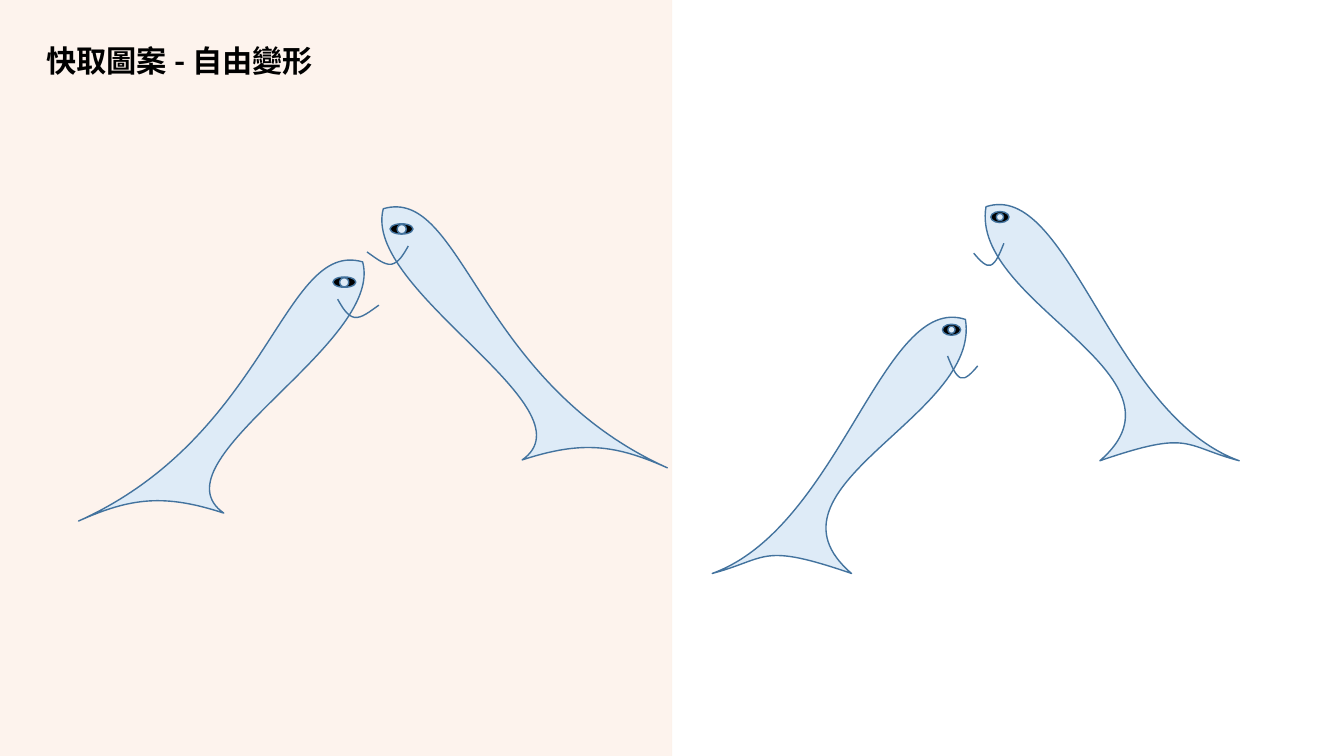
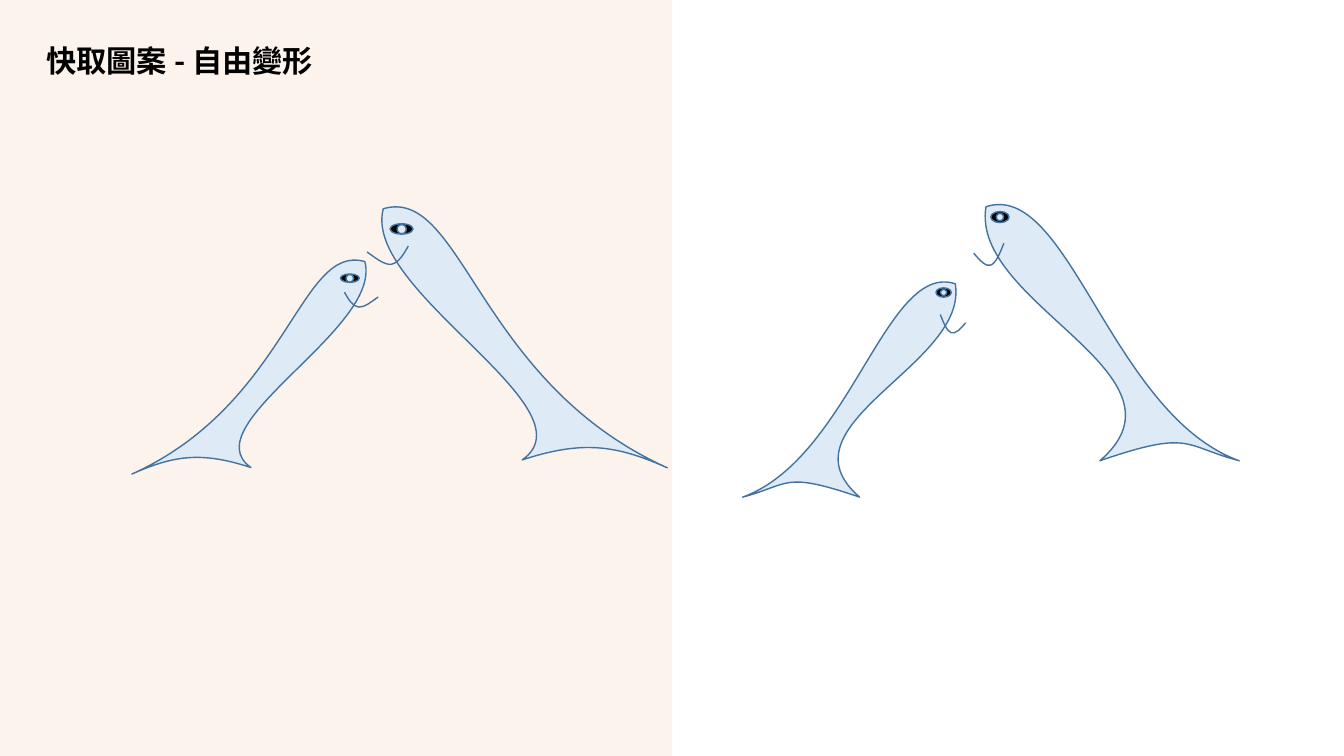
"""Build two slides of fish drawn as curved freeforms."""

from dataclasses import dataclass

from lxml import etree
from pptx import Presentation
from pptx.dml.color import RGBColor
from pptx.enum.shapes import MSO_CONNECTOR, MSO_SHAPE
from pptx.enum.text import MSO_ANCHOR, PP_ALIGN
from pptx.oxml.ns import qn
from pptx.util import Cm, Pt

OVAL = MSO_SHAPE.OVAL
RECTANGLE = MSO_SHAPE.RECTANGLE
STRAIGHT = MSO_CONNECTOR.STRAIGHT
MIDDLE = MSO_ANCHOR.MIDDLE
LEFT = PP_ALIGN.LEFT

COLORS = {
    "panel": "F4B183",
    "divider": "FBE5D6",
    "title": "000000",
    "body": "DEEBF7",
    "outline": "43739E",
    "eye": "000000",
}
FONT = "Noto Sans CJK SC"
TITLE = "快取圖案 - 自由變形"
PAGE_WIDTH, PAGE_HEIGHT = 33.87, 19.05
TITLE_ONLY = 5
CURVE_STEPS = 24

Point = tuple[float, float]


@dataclass(frozen=True)
class Oval:
    """An ellipse measured in centimetres from the nose corner."""

    left: float
    top: float
    width: float
    height: float


@dataclass(frozen=True)
class FishKind:
    """Outlines of a fish facing left: a start point, then Bézier triples."""

    body: list[Point]
    mouth: list[Point]
    eye: Oval
    pupil: Oval


@dataclass(frozen=True)
class Fish:
    """A placed fish; direction 1 faces left and -1 faces right."""

    kind: FishKind
    nose_x: float
    nose_y: float
    direction: int = 1
    scale: float = 1.0

    def place(self, point: Point) -> tuple[int, int]:
        """Turn a point of the kind into a position on the page."""
        x, y = point
        return (
            Cm(self.nose_x + self.direction * self.scale * x),
            Cm(self.nose_y + self.scale * y),
        )


SLIM = FishKind(
    body=[(3.53, 6.38),
          (5.38, 5.08), (-0.53, 2.11), (0.03, 0.05),
          (2.03, -0.53), (2.39, 4.42), (7.19, 6.58),
          (5.87, 5.99), (5.03, 5.89), (3.53, 6.38)],
    mouth=[(-0.38, 1.14),
           (-0.15, 1.3), (0.05, 1.47), (0.23, 1.45),
           (0.41, 1.42), (0.53, 1.22), (0.66, 0.99)],
    eye=Oval(0.2, 0.43, 0.58, 0.26),
    pupil=Oval(0.38, 0.45, 0.23, 0.23),
)
ROUND = FishKind(
    body=[(2.9, 6.45),
          (5.21, 5.66), (4.98, 6.07), (6.41, 6.45),
          (3.18, 5.28), (2.11, -0.64), (0.03, 0.05),
          (-0.38, 2.49), (5.44, 4.27), (2.9, 6.45)],
    mouth=[(-0.28, 1.22),
           (-0.13, 1.4), (0.03, 1.57), (0.15, 1.52),
           (0.28, 1.47), (0.38, 1.22), (0.48, 0.97)],
    eye=Oval(0.15, 0.17, 0.46, 0.28),
    pupil=Oval(0.29, 0.22, 0.18, 0.18),
)

SLIM_LEFT = Fish(SLIM, 9.63, 5.21)
ROUND_LEFT = Fish(ROUND, 24.82, 5.16)
PAGES = [
    [Fish(SLIM, 9.17, 6.55, -1), SLIM_LEFT,
     Fish(ROUND, 24.36, 8.0, -1), ROUND_LEFT],
    [Fish(SLIM, 9.22, 6.55, -1, 0.82), SLIM_LEFT,
     Fish(ROUND, 24.1, 7.11, -1, 0.84), ROUND_LEFT],
]


def rgb(name: str) -> RGBColor:
    """Look up a colour by its role."""
    return RGBColor.from_string(COLORS[name])


def set_alpha(element, percent: int) -> None:
    """Make the first solid colour of an element translucent."""
    color = element.find(".//" + qn("a:srgbClr"))
    etree.SubElement(color, qn("a:alpha"), val=str(percent * 1000))


def style(shape, fill: str | None = None, outline: str | None = "outline") -> None:
    """Set a shape's fill and line and remove its shadow."""
    shape.shadow.inherit = False
    if fill:
        shape.fill.solid()
        shape.fill.fore_color.rgb = rgb(fill)
    else:
        shape.fill.background()
    if outline:
        shape.line.color.rgb = rgb(outline)
        shape.line.width = Pt(1)
    else:
        shape.line.fill.background()


def sample(points: list[tuple[int, int]]) -> list[tuple[int, int]]:
    """List positions along a chain of cubic curves."""
    result = [points[0]]
    for first in range(0, len(points) - 1, 3):
        a, b, c, d = points[first:first + 4]
        for step in range(1, CURVE_STEPS + 1):
            t = step / CURVE_STEPS
            u = 1 - t
            weights = (u**3, 3 * u * u * t, 3 * u * t * t, t**3)
            x, y = (
                round(sum(w * p[axis] for w, p in zip(weights, (a, b, c, d))))
                for axis in (0, 1)
            )
            result.append((x, y))
    return result


def add_curve(shapes, points: list[tuple[int, int]], closed: bool):
    """Add a freeform sized to its outline and made of true curves."""
    outline = sample(points)
    builder = shapes.build_freeform(*outline[0], scale=1.0)
    builder.add_line_segments(outline[1:], close=closed)
    shape = builder.convert_to_shape()
    left, top = shape.left, shape.top
    geometry = shape.element.find(".//" + qn("a:path"))
    for child in list(geometry):
        geometry.remove(child)

    def add_command(tag: str, targets: list[tuple[int, int]]) -> None:
        command = etree.SubElement(geometry, qn(tag))
        for x, y in targets:
            etree.SubElement(command, qn("a:pt"), x=str(x - left), y=str(y - top))

    add_command("a:moveTo", points[:1])
    for first in range(1, len(points), 3):
        add_command("a:cubicBezTo", points[first:first + 3])
    if closed:
        add_command("a:close", [])
    return shape


def add_oval(shapes, fish: Fish, oval: Oval, fill: str) -> None:
    """Add one ellipse of a fish's eye."""
    near, top = fish.place((oval.left, oval.top))
    far, bottom = fish.place((oval.left + oval.width, oval.top + oval.height))
    shape = shapes.add_shape(OVAL, min(near, far), top, abs(far - near), bottom - top)
    style(shape, fill)


def add_fish(page, fish: Fish) -> None:
    """Draw one fish as a group."""
    shapes = page.shapes.add_group_shape().shapes
    body = [fish.place(point) for point in fish.kind.body]
    mouth = [fish.place(point) for point in fish.kind.mouth]
    style(add_curve(shapes, body, closed=True), "body")
    style(add_curve(shapes, mouth, closed=False))
    add_oval(shapes, fish, fish.kind.eye, "eye")
    add_oval(shapes, fish, fish.kind.pupil, "body")


def write(box, text: str, *, size: float, color: str, bold: bool) -> None:
    """Write one formatted paragraph into a box."""
    frame = box.text_frame
    frame.vertical_anchor = MIDDLE
    frame.word_wrap = True
    para = frame.paragraphs[0]
    para.alignment = LEFT
    para.line_spacing = 0.9
    span = para.add_run()
    span.text = text
    span.font.name = FONT
    span.font.size = Pt(size)
    span.font.bold = bold
    span.font.color.rgb = rgb(color)
    etree.SubElement(span.font._element, qn("a:ea"), typeface=FONT)


def add_backdrop(layout, page) -> None:
    """Draw the tinted half and its divider, then move them to the layout."""
    middle, bottom = Cm(PAGE_WIDTH / 2), Cm(PAGE_HEIGHT)
    panel = page.shapes.add_shape(RECTANGLE, 0, 0, middle, bottom)
    style(panel, "panel", outline=None)
    set_alpha(panel.element, 14)
    divider = page.shapes.add_connector(STRAIGHT, middle, bottom, middle, 0)
    divider.line.color.rgb = rgb("divider")
    divider.line.width = Pt(0.25)
    set_alpha(divider.element, 50)
    etree.SubElement(divider.element.spPr, qn("a:effectLst"))
    for index, shape in enumerate((panel, divider), start=2):
        layout.shapes.element.insert(index, shape.element)


def prepare_layout(layout) -> None:
    """Place the title and drop the other placeholders."""
    for box in list(layout.placeholders):
        if box.placeholder_format.idx:
            box.element.getparent().remove(box.element)
        else:
            box.left, box.top = Cm(0.91), Cm(1.02)
            box.width, box.height = Cm(15.11), Cm(1.12)


def main() -> None:
    """Build and save the deck."""
    deck = Presentation()
    deck.slide_width, deck.slide_height = Cm(PAGE_WIDTH), Cm(PAGE_HEIGHT)
    layout = deck.slide_layouts[TITLE_ONLY]
    prepare_layout(layout)
    for number, school in enumerate(PAGES):
        page = deck.slides.add_slide(layout)
        if number == 0:
            add_backdrop(layout, page)
        write(page.shapes.title, TITLE, size=21.6, color="title", bold=True)
        for fish in school:
            add_fish(page, fish)
    deck.save("out.pptx")


if __name__ == "__main__":
    main()
